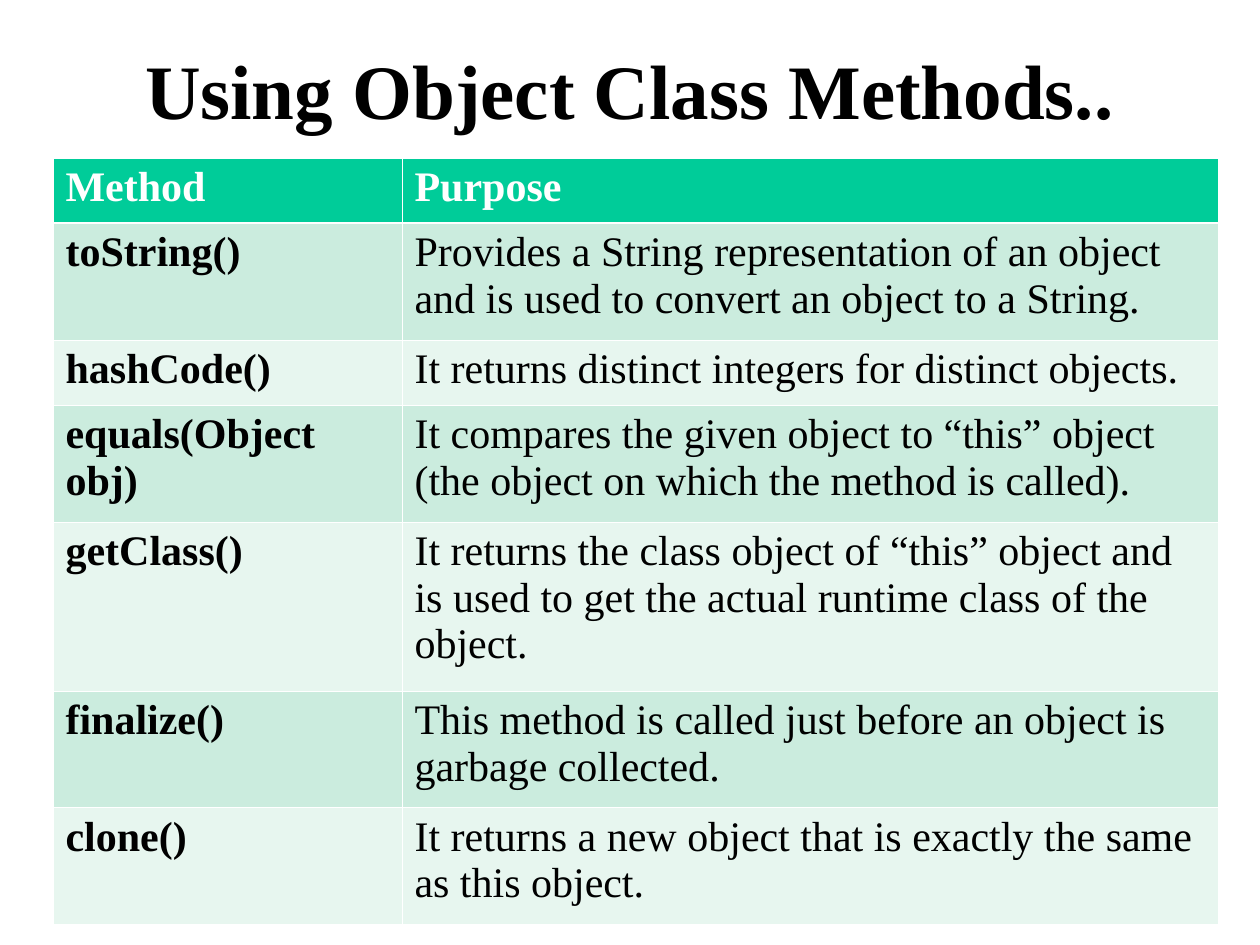
from lxml.etree import SubElement
from pptx import Presentation
from pptx.dml.color import RGBColor
from pptx.enum.text import MSO_ANCHOR, PP_ALIGN
from pptx.oxml.ns import qn
from pptx.util import Pt

# Content
TITLE = "Using Object Class Methods.."
ROWS = [
    ("Method", "Purpose"),
    ("toString()", "Provides a String representation of an object and is used "
                   "to convert an object to a String."),
    ("hashCode()", "It returns distinct integers for distinct objects."),
    ("equals(Object obj)", "It compares the given object to “this” object "
                           "(the object on which the method is called)."),
    ("getClass()", "It returns the class object of “this” object and is used "
                   "to get the actual runtime class of the object."),
    ("finalize()", "This method is called just before an object is garbage collected."),
    ("clone()", "It returns a new object that is exactly the same as this object."),
]

# Layout in px
PX = 914400 // 126
SLIDE_W, SLIDE_H = 1260, 945
TITLE_BOX = (0, 21, 1260, 136)
TABLE_LEFT, TABLE_TOP = 53, 158
COL_WIDTHS = [349, 816]
ROW_HEIGHTS = [65, 117, 65, 117, 169, 117, 117]

# Style
FONT = "Times New Roman"
BLACK = RGBColor(0x00, 0x00, 0x00)
WHITE = RGBColor(0xFF, 0xFF, 0xFF)
HEADER = RGBColor(0x00, 0xCC, 0x99)
BANDS = [RGBColor(0xE7, 0xF6, 0xEF), RGBColor(0xCB, 0xEC, 0xDE)]
THIN, THICK = Pt(0.45), Pt(1.47)


def write(tf, text, size=24, color=BLACK, bold=False, align=PP_ALIGN.LEFT):
    p = tf.paragraphs[0]
    p.alignment = align
    r = p.add_run()
    r.text = text
    r.font.name = FONT
    r.font.size = Pt(size)
    r.font.bold = bold
    r.font.color.rgb = color


def set_borders(cell, top, bottom):
    tc_pr = cell._tc.get_or_add_tcPr()
    for side, width in (("L", THIN), ("R", THIN), ("T", top), ("B", bottom)):
        ln = SubElement(tc_pr, qn(f"a:ln{side}"), w=str(int(width)))
        fill = SubElement(ln, qn("a:solidFill"))
        SubElement(fill, qn("a:srgbClr"), val=str(WHITE))


prs = Presentation()
prs.slide_width, prs.slide_height = SLIDE_W * PX, SLIDE_H * PX
s = prs.slides.add_slide(prs.slide_layouts[6])

# Title
sp = s.shapes.add_textbox(*(v * PX for v in TITLE_BOX))
tf = sp.text_frame
tf.word_wrap = True
tf.vertical_anchor = MSO_ANCHOR.MIDDLE
write(tf, TITLE, size=44, bold=True, align=PP_ALIGN.CENTER)

# Methods table
table = s.shapes.add_table(
    len(ROWS), len(COL_WIDTHS), TABLE_LEFT * PX, TABLE_TOP * PX,
    sum(COL_WIDTHS) * PX, sum(ROW_HEIGHTS) * PX).table
for col, width in zip(table.columns, COL_WIDTHS):
    col.width = width * PX
for row, height in zip(table.rows, ROW_HEIGHTS):
    row.height = height * PX

for i, texts in enumerate(ROWS):
    is_header = i == 0
    for j, text in enumerate(texts):
        cell = table.cell(i, j)
        set_borders(cell, top=THICK if i == 1 else THIN,
                    bottom=THICK if is_header else THIN)
        cell.fill.solid()
        cell.fill.fore_color.rgb = HEADER if is_header else BANDS[i % 2]
        write(cell.text_frame, text, bold=is_header or j == 0,
              color=WHITE if is_header else BLACK)

prs.save("out.pptx")
